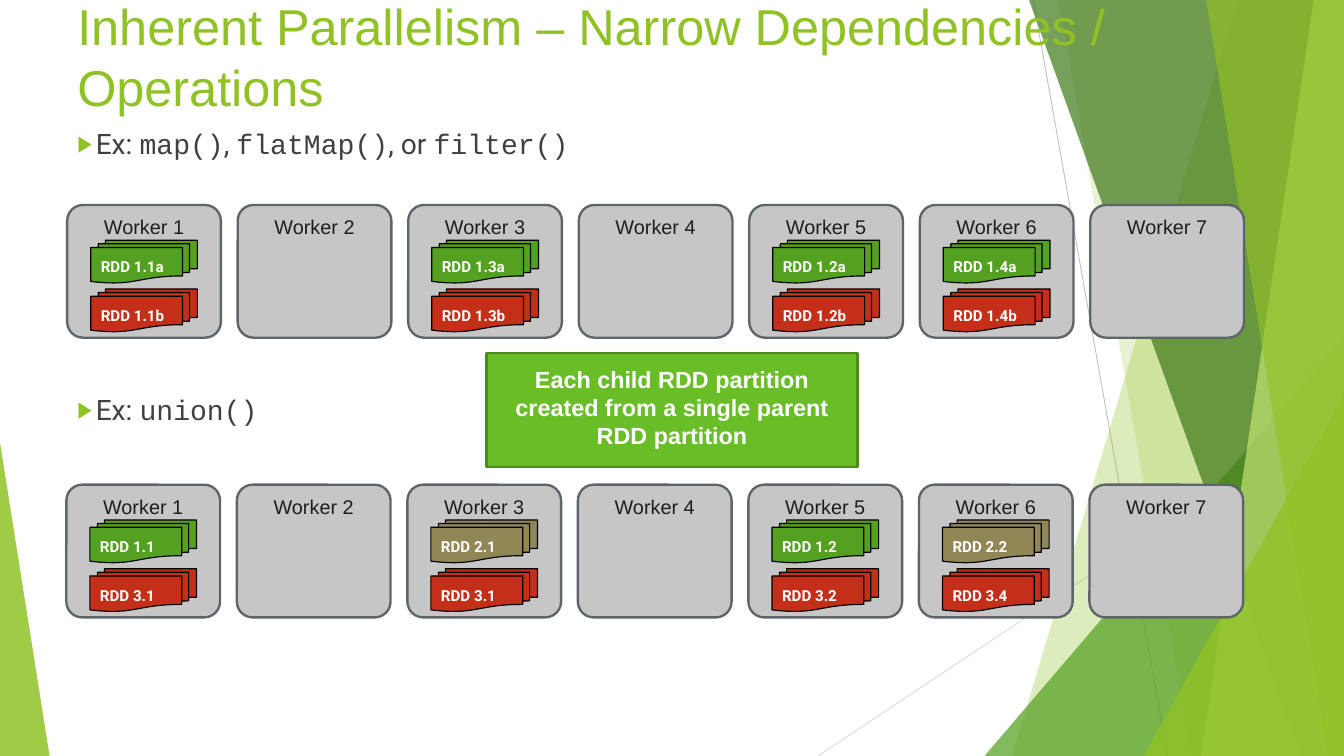
import pptx
import pptx.dml.color
import pptx.enum.shapes
import pptx.enum.text
import pptx.oxml
import pptx.oxml.ns
import pptx.util
from lxml import etree

Pt = pptx.util.Pt
RGBColor = pptx.dml.color.RGBColor
SHAPE = pptx.enum.shapes.MSO_SHAPE
ANCHOR = pptx.enum.text.MSO_ANCHOR
ALIGN = pptx.enum.text.PP_ALIGN
qn = pptx.oxml.ns.qn

LIME = RGBColor(0x90, 0xC2, 0x26)
GREEN = RGBColor(0x54, 0xA0, 0x21)
FOREST = RGBColor(0x3F, 0x78, 0x19)
PALE_LIME = RGBColor(0xC0, 0xE4, 0x74)
RED = RGBColor(0xC4, 0x2F, 0x1A)
OLIVE = RGBColor(0x91, 0x86, 0x55)
CALLOUT_FILL = RGBColor(0x69, 0xBE, 0x28)
CALLOUT_LINE = RGBColor(0x4D, 0x8B, 0x1D)
WORKER_FILL = RGBColor(0xC6, 0xC6, 0xC6)
WORKER_LINE = RGBColor(0x5E, 0x65, 0x68)
WORKER_TEXT = RGBColor(0x1E, 0x1E, 0x1E)
BODY_TEXT = RGBColor(0x40, 0x40, 0x40)
GRAY = RGBColor(0xBF, 0xBF, 0xBF)
LIGHT_GRAY = RGBColor(0xD9, 0xD9, 0xD9)
BLACK = RGBColor(0, 0, 0)
WHITE = RGBColor(0xFF, 0xFF, 0xFF)

WIDTH, HEIGHT = 1152, 648
WORKER_COUNT = 7
WORKER_PITCH = 146.16
WORKER_SIZE = (131.76, 113.76)
DOCUMENT_SIZE = (91.44, 36.72)

TITLE_FONT = {"size": Pt(43.2), "name": "Arial"}
BODY_FONT = {"size": Pt(24.1)}
WORKER_FONT = {"size": Pt(17), "name": "Arial"}
DOCUMENT_FONT = {"size": Pt(13), "name": "Roboto", "bold": True}
CALLOUT_FONT = {"size": Pt(20), "name": "Arial", "bold": True}

LINES = [((885.6, 0), (1000.8, HEIGHT), GRAY),
         ((WIDTH, 347.76), (701.28, HEIGHT), LIGHT_GRAY)]
BACK_FACETS = [([(1060.56, 0), (WIDTH, 0), (WIDTH, HEIGHT), (867.6, HEIGHT)], LIME, 30),
               ([(907.2, 0), (WIDTH, 0), (WIDTH, HEIGHT), (1021.68, HEIGHT)], LIME, 20)]
FRONT_FACETS = [([(882, 0), (WIDTH, 0), (WIDTH, HEIGHT), (1115.28, HEIGHT)], FOREST, 70),
                ([(1126.08, 0), (WIDTH, 0), (WIDTH, HEIGHT), (1029.6, HEIGHT)], PALE_LIME, 70),
                ([(1033.92, 0), (WIDTH, 0), (WIDTH, HEIGHT), (1138.32, HEIGHT)], LIME, 65)]

NARROW_PARTITIONS = {
    number: [(f"RDD 1.{part}a", GREEN), (f"RDD 1.{part}b", RED)]
    for number, part in ((1, 1), (3, 3), (5, 2), (6, 4))
}
UNION_PARTITIONS = {
    1: [("RDD 1.1", GREEN), ("RDD 3.1", RED)],
    3: [("RDD 2.1", OLIVE), ("RDD 3.1", RED)],
    5: [("RDD 1.2", GREEN), ("RDD 3.2", RED)],
    6: [("RDD 2.2", OLIVE), ("RDD 3.4", RED)],
}


def apply_format(target, values):
    for name, value in values.items():
        setattr(target, name, value)


def format_frame(frame, insets, anchor=ANCHOR.TOP):
    left, top, right, bottom = map(Pt, insets)
    apply_format(frame, {"margin_left": left, "margin_top": top, "margin_right": right,
                         "margin_bottom": bottom, "word_wrap": True,
                         "vertical_anchor": anchor})


def write_run(paragraph, text, font, color):
    run = paragraph.add_run()
    run.text = text
    apply_format(run.font, font)
    run.font.color.rgb = color


def add_text_box(slide, left, top, width, height, anchor=ANCHOR.TOP):
    box = slide.shapes.add_textbox(Pt(left), Pt(top), Pt(width), Pt(height))
    format_frame(box.text_frame, (8.64, 4.32, 8.64, 4.32), anchor)
    return box.text_frame.paragraphs[0]


def add_bullet_line(slide, top, pieces):
    paragraph = add_text_box(slide, 57.6, top, 600, 40)
    properties = paragraph._p.get_or_add_pPr()
    properties.set("marL", str(Pt(15.84)))
    properties.set("indent", str(-Pt(15.84)))
    color = etree.SubElement(properties, qn("a:buClr"))
    etree.SubElement(color, qn("a:srgbClr"), val=str(LIME))
    etree.SubElement(properties, qn("a:buSzPct"), val="80000")
    etree.SubElement(properties, qn("a:buFont"), typeface="Arial")
    etree.SubElement(properties, qn("a:buChar"), char="▶")
    for text, name in pieces:
        write_run(paragraph, text, {**BODY_FONT, "name": name}, BODY_TEXT)


def add_block(slide, kind, place, fill, line, line_width):
    shape = slide.shapes.add_shape(kind, *map(Pt, place))
    shape.shadow.inherit = False
    shape.fill.solid()
    shape.fill.fore_color.rgb = fill
    shape.line.color.rgb = line
    shape.line.width = Pt(line_width)
    return shape


def label_block(shape, text, insets, font, color, align, anchor=ANCHOR.TOP):
    format_frame(shape.text_frame, insets, anchor)
    paragraph = shape.text_frame.paragraphs[0]
    paragraph.alignment = align
    write_run(paragraph, text, font, color)


def paint_facet(shape, color, opacity):
    shape.shadow.inherit = False
    shape.fill.solid()
    shape.fill.fore_color.rgb = color
    shape.line.fill.background()
    fill_color = shape._element.spPr.xpath("./a:solidFill/a:srgbClr")[0]
    etree.SubElement(fill_color, qn("a:alpha"), val=str(opacity * 1000))


def add_facet(slide, points, color, opacity):
    corners = [(Pt(x), Pt(y)) for x, y in points]
    builder = slide.shapes.build_freeform(*corners[0])
    builder.add_line_segments(corners[1:], close=True)
    paint_facet(builder.convert_to_shape(), color, opacity)


def add_triangle(slide, place, apex, color, opacity):
    shape = slide.shapes.add_shape(SHAPE.ISOSCELES_TRIANGLE, *map(Pt, place))
    shape.adjustments[0] = apex
    paint_facet(shape, color, opacity)


def add_line(slide, start, end, color):
    connector = slide.shapes.add_connector(
        pptx.enum.shapes.MSO_CONNECTOR.STRAIGHT, *map(Pt, start + end))
    connector.line.color.rgb = color
    connector.line.width = Pt(0.75)
    etree.SubElement(connector._element.spPr, qn("a:effectLst"))


def add_background(slide):
    for line in LINES:
        add_line(slide, *line)
    for facet in BACK_FACETS:
        add_facet(slide, *facet)
    add_triangle(slide, (843.84, 288, 308.16, 360), 1, GREEN, 72)
    for facet in FRONT_FACETS:
        add_facet(slide, *facet)
    add_triangle(slide, (980.28, 339.12, 171.72, 308.88), 1, LIME, 80)
    add_triangle(slide, (0, 379.44, 42.48, 268.56), 0, LIME, 85)


def add_worker_row(slide, row_left, top, partitions):
    for number in range(1, WORKER_COUNT + 1):
        left = row_left + (number - 1) * WORKER_PITCH
        worker = add_block(slide, SHAPE.ROUNDED_RECTANGLE, (left, top, *WORKER_SIZE),
                           WORKER_FILL, WORKER_LINE, 2)
        worker.adjustments[0] = 0.119
        label_block(worker, f"Worker {number}", (8.64, 4.32, 8.64, 8.64),
                    WORKER_FONT, WORKER_TEXT, ALIGN.CENTER)
        for index, (name, color) in enumerate(partitions.get(number, [])):
            place = (left + 20.16, top + 30.24 + index * 41.76, *DOCUMENT_SIZE)
            document = add_block(slide, SHAPE.FLOWCHART_MULTIDOCUMENT, place, color, BLACK, 1)
            label_block(document, name, (8.64,) * 4, DOCUMENT_FONT, WHITE, ALIGN.LEFT)


def main():
    presentation = pptx.Presentation()
    presentation.slide_width, presentation.slide_height = Pt(WIDTH), Pt(HEIGHT)
    slide = presentation.slides.add_slide(presentation.slide_layouts[6])
    add_background(slide)
    title = add_text_box(slide, 57.6, 0, 1036.8, 95.76, ANCHOR.MIDDLE)
    write_run(title, "Inherent Parallelism – Narrow Dependencies / Operations", TITLE_FONT, LIME)
    add_bullet_line(slide, 104.4, [
        ("Ex: ", "Roboto"), ("map()", "Courier New"), (", ", "Roboto"),
        ("flatMap()", "Courier New"), (", or ", "Roboto"), ("filter()", "Courier New")])
    add_bullet_line(slide, 332.4, [("Ex: ", "Roboto"), ("union()", "Courier New")])
    add_worker_row(slide, 57.6, 175.68, NARROW_PARTITIONS)
    add_worker_row(slide, 56.88, 415.44, UNION_PARTITIONS)
    callout = add_block(slide, SHAPE.RECTANGLE, (416.88, 302.4, 318.24, 97.92),
                        CALLOUT_FILL, CALLOUT_LINE, 2)
    label_block(callout, "Each child RDD partition created from a single parent RDD partition",
                (8.64, 4.32, 8.64, 8.64), CALLOUT_FONT, WHITE, ALIGN.CENTER, ANCHOR.MIDDLE)
    presentation.save("out.pptx")


if __name__ == "__main__":
    main()
